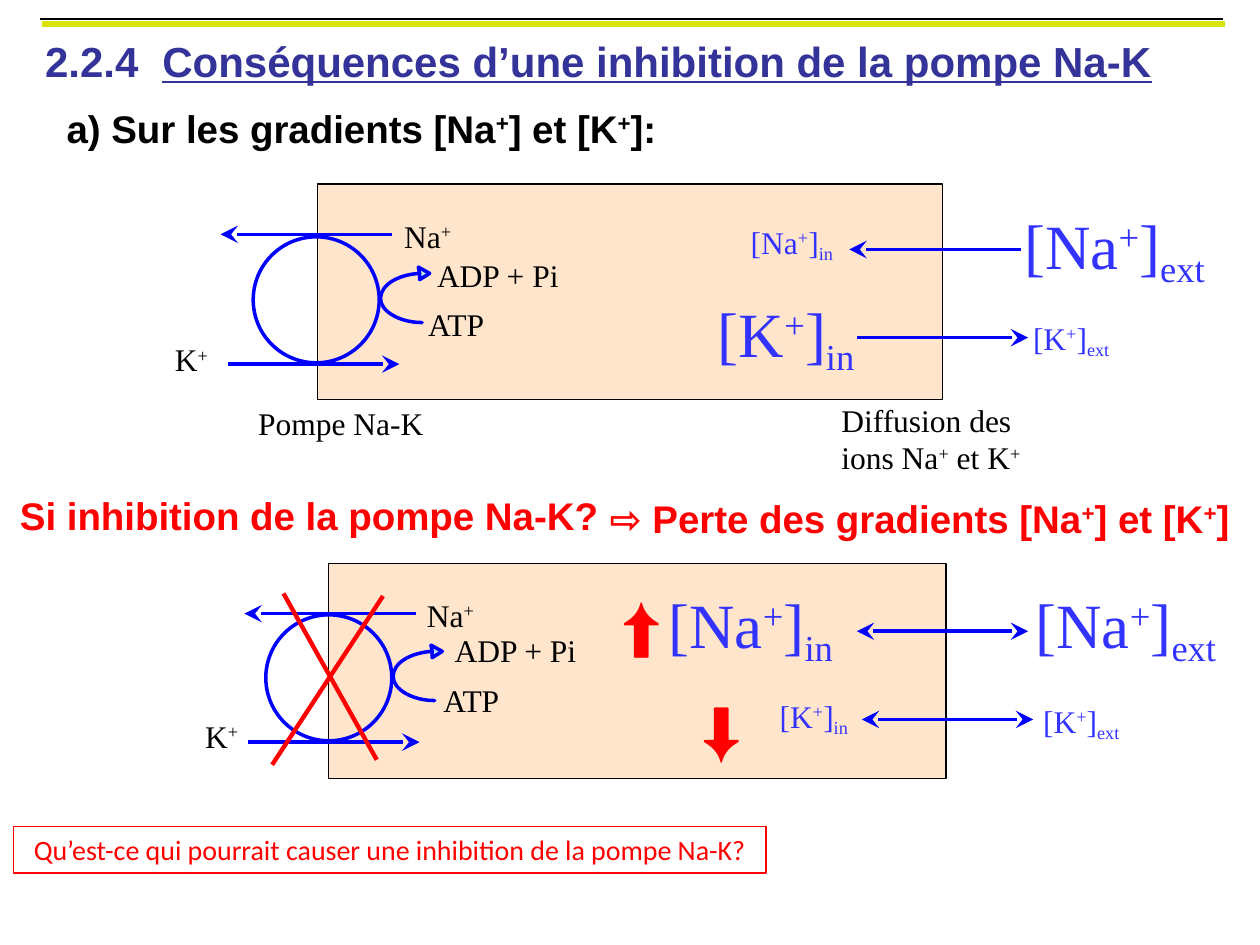
"""Build the slide on the effects of inhibiting the Na-K pump."""
from lxml.etree import SubElement
from pptx import Presentation
from pptx.dml.color import RGBColor as RGB
from pptx.enum.shapes import MSO_CONNECTOR as CONN, MSO_SHAPE as SHAPE
from pptx.enum.text import MSO_ANCHOR as ANCHOR, PP_ALIGN as ALIGN
from pptx.oxml.ns import qn
from pptx.util import Pt

PX = 9144
C = {"black": "000000", "lime": "D9E30D", "navy": "333399", "red": "FF0000",
     "blue": "0000FF", "ion": "3333FF", "cell": "FFCC99", "tip": "BBE0E3"}
BASELINE = {"^": "30000", "_": "-20000"}
SERIF = "Times New Roman"

prs = Presentation()
prs.slide_width, prs.slide_height = 1000 * PX, 750 * PX
s = prs.slides.add_slide(prs.slide_layouts[6])


def write(p, markup, size, color, font=SERIF, bold=False):
    """Add runs split at bars; ^ raises a run and _ lowers it."""
    for part in markup.split("|"):
        r = p.add_run()
        r.text = part.lstrip("^_")
        r.font.size, r.font.name, r.font.bold = Pt(size), font, bold
        r.font.color.rgb = RGB.from_string(C[color])
        if part[0] in BASELINE:
            r.font._element.set("baseline", BASELINE[part[0]])


def line(x1, y1, x2, y2, color, width, ends=()):
    """Draw a straight line with stealth arrowheads at the given ends."""
    c = s.shapes.add_connector(CONN.STRAIGHT, x1 * PX, y1 * PX, x2 * PX, y2 * PX)
    c.line.color.rgb = RGB.from_string(C[color])
    c.line.width = Pt(width)
    SubElement(c._element.spPr, qn("a:effectLst"))
    for end in ends:
        SubElement(c.line._ln, qn(f"a:{end}End"), type="stealth", w="lg", len="lg")


line(33, 19, 972, 19, "lime", 3)
line(32, 15, 971, 15, "black", 1.5)

tf = s.shapes.add_textbox(26 * PX, 21 * PX, 948 * PX, 106 * PX).text_frame
tf.word_wrap = True
tf.vertical_anchor = ANCHOR.MIDDLE
p = tf.paragraphs[0]
tabs = SubElement(p._p.get_or_add_pPr(), qn("a:tabLst"))
SubElement(tabs, qn("a:tab"), pos=str(93 * PX), algn="l")
write(p, "2.2.4\t|Conséquences d’une inhibition de la pompe Na-K", 24, "navy", "Arial", True)
p.runs[1].font.underline = True
p = tf.add_paragraph()
p.space_before = Pt(11)
p._p.get_or_add_pPr().set("marL", str(17 * PX))
write(p, "a) Sur les gradients [Na|^+|] et [K|^+|]:", 22, "black", "Arial", True)

for x, y, w, h in [(252, 146, 496, 171), (261, 447, 490, 171)]:
    cell = s.shapes.add_shape(SHAPE.RECTANGLE, x * PX, y * PX, w * PX, h * PX)
    cell.shadow.inherit = False
    cell.fill.solid()
    cell.fill.fore_color.rgb = RGB.from_string(C["cell"])
    SubElement(cell.fill._xPr.find(".//" + qn("a:srgbClr")), qn("a:alpha"), val="50000")
    cell.line.color.rgb = RGB.from_string(C["black"])
    cell.line.width = Pt(0.75)

arc = [(31, 0), (14, 1), (0, 9), (0, 20), (0, 30), (15, 39), (33, 39)]
path = arc + arc[-2::-1]
tip = [(30, -5), (39, 0), (31, 5), (31, 0)]
for x, y in [(201, 188), (211, 488)]:
    pump = s.shapes.add_shape(SHAPE.OVAL, x * PX, y * PX, 100 * PX, 100 * PX)
    pump.fill.background()
    fb = s.shapes.build_freeform(*path[0], scale=PX)
    fb.add_line_segments(path[1:] + tip, close=True)
    turn = fb.convert_to_shape((x + 101) * PX, (y + 29) * PX)
    steps = list(turn._element.iter(qn("a:lnTo")))
    for i in range(0, len(path) - 1, 3):
        curve = SubElement(steps[i].getparent(), qn("a:cubicBezTo"))
        steps[i].addprevious(curve)
        for step in steps[i:i + 3]:
            curve.append(step[0])
            step.getparent().remove(step)
    turn.fill.solid()
    turn.fill.fore_color.rgb = RGB.from_string(C["tip"])
    for sp in (pump, turn):
        sp.shadow.inherit = False
        sp.line.color.rgb = RGB.from_string(C["blue"])
        sp.line.width = Pt(2)

for x, y, ends in [(175, 186, ["head"]), (181, 289, ["tail"]),
                   (674, 198, ["head"]), (680, 268, ["tail"]),
                   (194, 487, ["head"]), (197, 589, ["tail"]),
                   (680, 501, ["head", "tail"]), (684, 571, ["head", "tail"])]:
    line(x, y, x + 136, y, "blue", 2, ends)
line(216, 607, 304, 473, "red", 2.5)
line(225, 471, 299, 603, "red", 2.5)

labels = [
    (311, 167, 59, "Na|^+", 18, "black"),
    (129, 265, 48, "K|^+", 18, "black"),
    (337, 198, 118, "ADP + Pi", 18, "black"),
    (330, 237, 67, "ATP", 18, "black"),
    (195, 316, 151, "Pompe Na-K", 18, "black"),
    (586, 172, 88, "[Na|^+|]|_in", 18, "ion"),
    (803, 159, 171, "[Na|^+|]|_ext", 36, "ion"),
    (560, 229, 134, "[K|^+|]|_in", 36, "ion"),
    (810, 248, 85, "[K|^+|]|_ext", 18, "ion"),
    (329, 468, 59, "Na|^+", 18, "black"),
    (153, 564, 48, "K|^+", 18, "black"),
    (351, 496, 118, "ADP + Pi", 18, "black"),
    (342, 536, 67, "ATP", 18, "black"),
    (484, 460, 207, "⬆| |[Na|^+|]|_in", 36, "ion"),
    (812, 460, 171, "[Na|^+|]|_ext", 36, "ion"),
    (609, 548, 77, "[K|^+|]|_in", 18, "ion"),
    (818, 552, 85, "[K|^+|]|_ext", 18, "ion"),
    (548, 543, 65, "⬇", 36, "red", "Arial"),
    (6, 386, 481, "Si inhibition de la pompe Na-K?", 22, "red", "Arial", True),
    (474, 388, 524, "⇨ Perte des gradients [Na|^+|] et [K|^+|]", 22, "red", "Arial", True),
    (658, 313, 183, "Diffusion des ions Na|^+| et K|^+", 18, "black"),
]
heights = {18: 40, 22: 47, 36: 70}
for x, y, w, markup, size, *style in labels:
    wraps = markup.startswith("Diffusion")
    h = 70 if wraps else heights[size]
    tf = s.shapes.add_textbox(x * PX, y * PX, w * PX, h * PX).text_frame
    tf.word_wrap = wraps
    p = tf.paragraphs[0]
    write(p, markup, size, *style)
    if markup.startswith("⬆"):
        p.runs[0].font.color.rgb = RGB.from_string(C["red"])
        p.runs[1].font.size = Pt(18)

sp = s.shapes.add_textbox(11 * PX, 656 * PX, 597 * PX, 37 * PX)
sp.line.color.rgb = RGB.from_string(C["red"])
sp.line.width = Pt(0.75)
tf = sp.text_frame
tf.word_wrap = True
tf.margin_left = tf.margin_right = tf.margin_top = tf.margin_bottom = 5 * PX
p = tf.paragraphs[0]
p.alignment = ALIGN.CENTER
write(p, "Qu’est-ce qui pourrait causer une inhibition de la pompe Na-K?", 16, "red", "Calibri")

prs.save("out.pptx")
